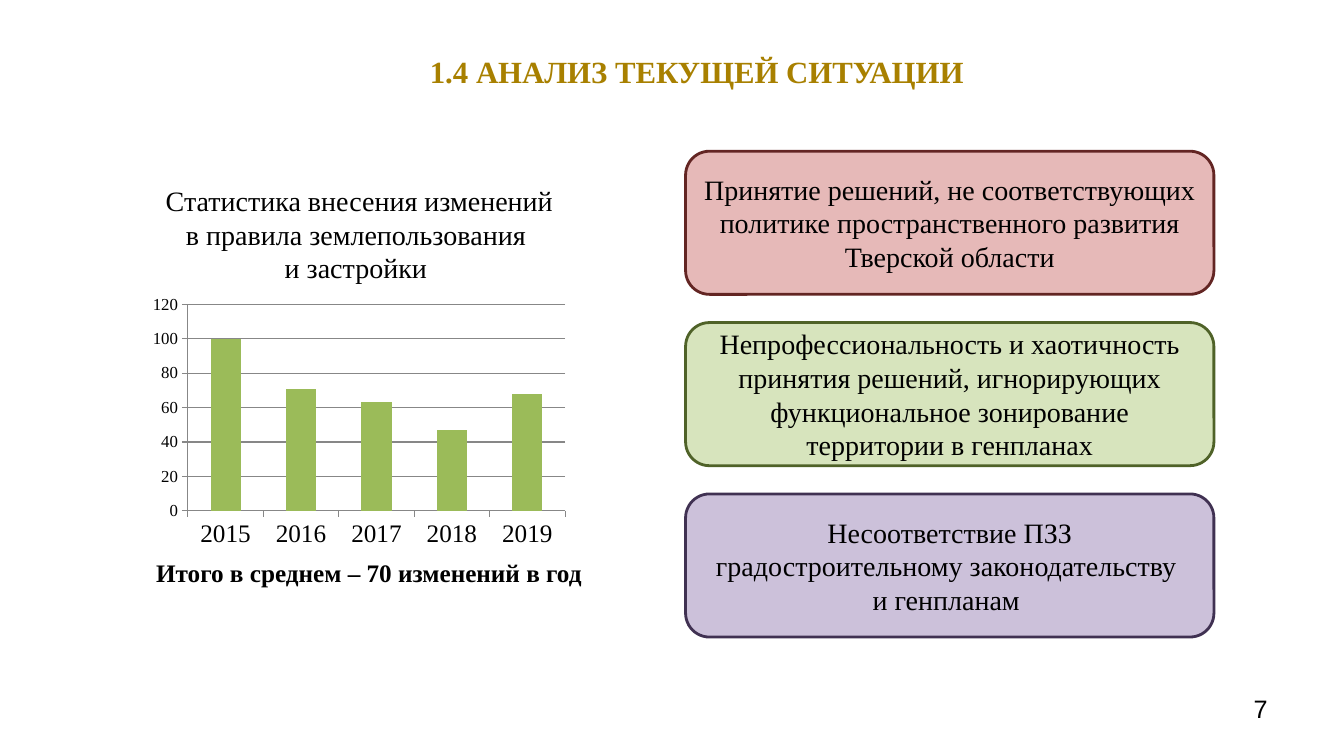
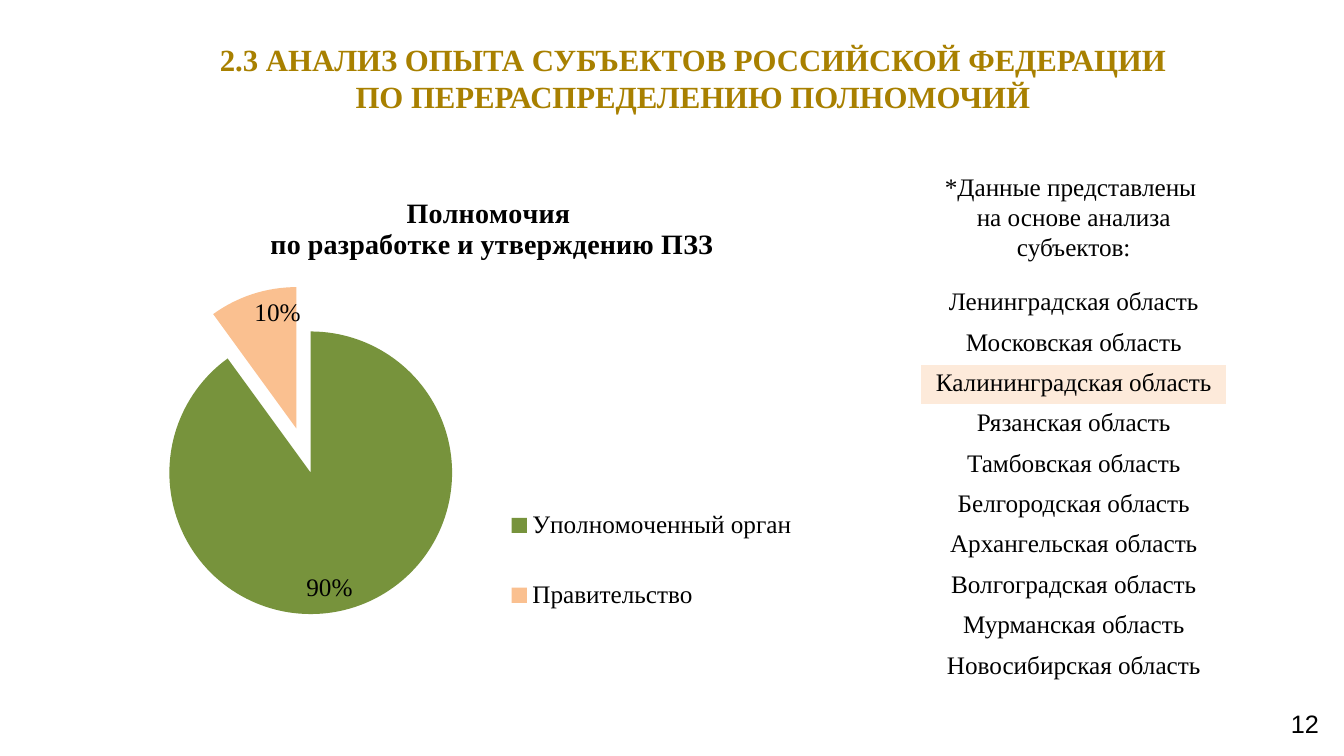
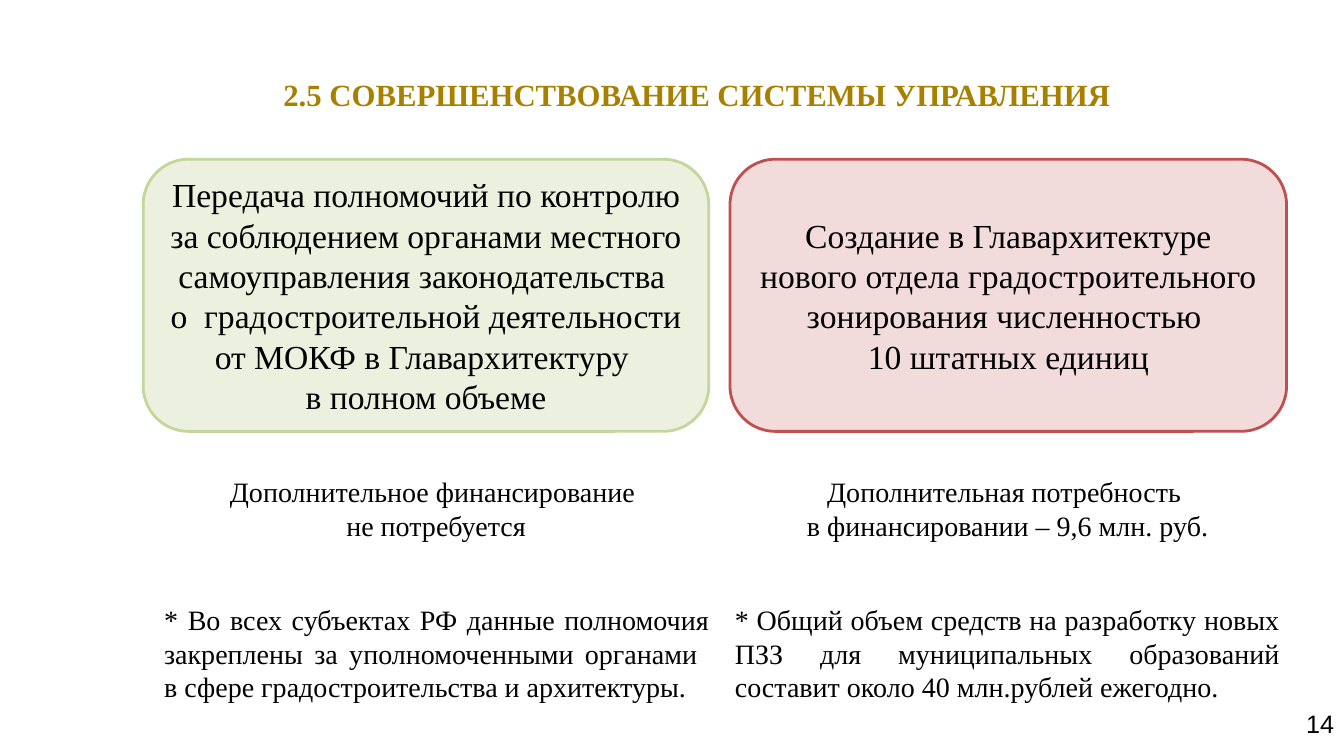
from dataclasses import dataclass

from pptx import Presentation
from pptx.chart.data import CategoryChartData
from pptx.dml.color import RGBColor
from pptx.enum.chart import XL_CHART_TYPE as Kind
from pptx.enum.chart import XL_LABEL_POSITION as Spot
from pptx.enum.chart import XL_LEGEND_POSITION as Side
from pptx.enum.chart import XL_TICK_MARK as Tick
from pptx.enum.shapes import MSO_SHAPE as Form
from pptx.enum.text import MSO_ANCHOR as Anchor
from pptx.enum.text import MSO_AUTO_SIZE as Fit
from pptx.enum.text import PP_ALIGN as Align
from pptx.oxml import parse_xml
from pptx.oxml.ns import nsdecls, qn
from pptx.util import Inches, Pt


@dataclass(frozen=True)
class Theme:
    serif: str = "Times New Roman"
    sans: str = "Arial"
    ink: str = "000000"
    gold: str = "A88000"
    bar: str = "9BBB59"
    grid: str = "878787"
    olive: str = "77933C"
    peach: str = "FAC090"
    glow: str = "FDEADA"
    # fill and line of each card
    rose: tuple = ("E6B9B8", "632523")
    lime: tuple = ("D7E4BD", "4F6228")
    lilac: tuple = ("CCC1DA", "403152")
    mint: tuple = ("EBF1DE", "C3D69B")
    blush: tuple = ("F2DCDB", "C0504D")
    # type sizes
    tick: int = 12
    small: int = 18
    body: int = 20
    head: int = 22
    large: int = 24


T = Theme()


def rgb(code):
    return RGBColor.from_string(code)


def box(*sides):
    return [Inches(side) for side in sides]


def style(font, size=T.body, color=T.ink, face=T.serif, bold=False):
    font.name, font.size, font.bold = face, Pt(size), bold
    font.color.rgb = rgb(color)


def write(frame, text, align=Align.CENTER, **form):
    """Fill a frame: \\n starts a paragraph, \\v breaks a line."""
    frame.text = text
    for para in frame.paragraphs:
        para.alignment = align
        for run in para.runs:
            style(run.font, **form)


# Text elements

def label(slide, at, text, **form):
    frame = slide.shapes.add_textbox(*box(*at)).text_frame
    frame.word_wrap = True
    write(frame, text, **form)


def card(slide, at, text, tint, size=T.body):
    shape = slide.shapes.add_shape(Form.ROUNDED_RECTANGLE, *box(*at))
    shape.shadow.inherit = False
    fill, line = tint
    shape.fill.solid()
    shape.fill.fore_color.rgb = rgb(fill)
    shape.line.color.rgb = rgb(line)
    shape.line.width = Pt(2)
    frame = shape.text_frame
    frame.word_wrap = True
    frame.vertical_anchor = Anchor.MIDDLE
    write(frame, text, size=size)


def start(deck, title, top, number, right, base):
    """Add a slide with its title and page number."""
    slide = deck.slides.add_slide(deck.slide_layouts[5])
    head = slide.shapes.title
    head.left, head.top, head.width, head.height = box(1.19, top, 11.44, 0.9)
    frame = head.text_frame
    frame.auto_size = Fit.NONE
    frame.word_wrap = True
    frame.vertical_anchor = Anchor.MIDDLE
    write(frame, title, size=T.head, color=T.gold, bold=True)
    label(slide, (right - 3.11, base, 3.11, 0.52), number,
          align=Align.RIGHT, size=T.small, face=T.sans)
    return slide


# Charts and table

def chart(slide, at, kind, cats, name, vals):
    data = CategoryChartData()
    data.categories = cats
    data.add_series(name, vals)
    made = slide.shapes.add_chart(kind, *box(*at), data).chart
    style(made.font, size=T.small)
    made.has_title = made.has_legend = False
    return made


def place(part, after=None, **spots):
    """Give a chart part a manual layout, in shares of the chart."""
    old = part.find(qn("c:layout"))
    if old is not None:
        part.remove(old)
    inner = '<c:layoutTarget val="inner"/>' if after is None else ""
    modes = "".join(f'<c:{key}Mode val="edge"/>' for key in "xy")
    sizes = "".join(f'<c:{key} val="{val}"/>' for key, val in spots.items())
    node = parse_xml(f'<c:layout {nsdecls("c")}><c:manualLayout>'
                     f"{inner}{modes}{sizes}</c:manualLayout></c:layout>")
    if after is None:
        part.insert(0, node)
    else:
        part.find(qn(after)).addnext(node)


def bars(slide, at, cats, vals):
    made = chart(slide, at, Kind.COLUMN_STACKED, cats, "Изменения", vals)
    plot = made.plots[0]
    plot.gap_width, plot.overlap = 150, 100
    plot.vary_by_categories = False
    fill = plot.series[0].format.fill
    fill.solid()
    fill.fore_color.rgb = rgb(T.bar)
    axis = made.value_axis
    axis.minimum_scale, axis.maximum_scale, axis.major_unit = 0, 120, 20
    axis.has_major_gridlines = True
    lines = [axis.major_gridlines.format.line]
    for part, size in ((axis, T.tick), (made.category_axis, T.small)):
        part.major_tick_mark = Tick.OUTSIDE
        style(part.tick_labels.font, size=size)
        lines.append(part.format.line)
    for line in lines:
        line.color.rgb = rgb(T.grid)
        line.width = Pt(0.75)


def pie(slide, at, title, name, slices):
    """Draw slices given as (name, value, colour, offset in percent)."""
    cats, vals, tints, shifts = zip(*slices)
    made = chart(slide, at, Kind.PIE, cats, name, vals)
    plot = made.plots[0]
    plot.vary_by_categories = True
    for num, (tint, shift) in enumerate(zip(tints, shifts)):
        fill = plot.series[0].points[num].format.fill
        fill.solid()
        fill.fore_color.rgb = rgb(tint)
    for dot, shift in zip(made.element.iter(qn("c:dPt")), shifts):
        dot.find(qn("c:spPr")).addprevious(parse_xml(
            f'<c:explosion {nsdecls("c")} val="{shift}"/>'))
    plot.has_data_labels = True
    tags = plot.data_labels
    tags.show_percentage, tags.show_value = True, False
    tags.number_format, tags.number_format_is_linked = "0%", False
    tags.position = Spot.INSIDE_END
    style(tags.font, size=T.small)
    made.has_title = made.has_legend = True
    write(made.chart_title.text_frame, title, bold=True)
    made.legend.position = Side.RIGHT
    made.legend.include_in_layout = False
    style(made.legend.font, size=T.small)
    root = made.element
    place(root.find(".//" + qn("c:plotArea")), x=0.08, y=0.21, w=0.39, h=0.75)
    place(root.find(".//" + qn("c:title")), "c:tx", x=0.22, y=0.01)
    place(root.find(".//" + qn("c:legend")), "c:legendPos",
          x=0.53, y=0.6, w=0.44, h=0.39)


def listing(slide, at, names, chosen):
    table = slide.shapes.add_table(len(names), 1, *box(*at)).table
    table.first_row = table.horz_banding = False
    for row, name in enumerate(names):
        cell = table.cell(row, 0)
        write(cell.text_frame, name, size=T.small)
        if name == chosen:
            cell.fill.solid()
            cell.fill.fore_color.rgb = rgb(T.glow)
        else:
            cell.fill.background()


# Slides

def state(deck):
    slide = start(deck, "1.4 АНАЛИЗ ТЕКУЩЕЙ СИТУАЦИИ", 0.26, "7", 12.67, 6.83)
    label(slide, (0.96, 5.48, 5.4, 0.4),
          "Итого в среднем – 70 изменений в год", size=T.small, bold=True)
    label(slide, (1.53, 1.77, 4.07, 1.11),
          "Статистика внесения изменений \n"
          "в правила землепользования \vи застройки ")
    bars(slide, (1.43, 2.88, 4.26, 2.61),
         ("2015", "2016", "2017", "2018", "2019"), (100, 71, 63, 47, 68))
    cards = (
        ("Принятие решений, не соответствующих политике "
         "пространственного развития Тверской области", T.rose),
        ("Непрофессиональность и хаотичность принятия решений, игнорирующих "
         "функциональное зонирование территории в генпланах", T.lime),
        ("Несоответствие ПЗЗ градостроительному законодательству "
         "\vи генпланам ", T.lilac),
    )
    for num, (text, tint) in enumerate(cards):
        card(slide, (6.8, 1.5 + 1.7 * num, 5.24, 1.42), text, tint)


def survey(deck):
    slide = start(deck, "2.3 АНАЛИЗ ОПЫТА СУБЪЕКТОВ РОССИЙСКОЙ ФЕДЕРАЦИИ "
                  "\vПО ПЕРЕРАСПРЕДЕЛЕНИЮ ПОЛНОМОЧИЙ ", 0.32, "12", 13.18, 6.98)
    pie(slide, (1.07, 1.87, 7.19, 4.64),
        "Полномочия \nпо разработке и утверждению ПЗЗ",
        "Полномочия по разработке и утверждению ПЗЗ",
        (("Уполномоченный орган", 90, T.olive, 8),
         ("Правительство", 10, T.peach, 25)))
    areas = ("Ленинградская", "Московская", "Калининградская", "Рязанская",
             "Тамбовская", "Белгородская", "Архангельская", "Волгоградская",
             "Мурманская", "Новосибирская")
    listing(slide, (9.13, 2.81, 3.04, 4),
            [f"{area} область" for area in areas], "Калининградская область")
    label(slide, (9.01, 1.65, 3.28, 1.01),
          "*Данные представлены \nна основе анализа субъектов:", size=T.small)


def reform(deck):
    slide = start(deck, "2.5 СОВЕРШЕНСТВОВАНИЕ СИСТЕМЫ УПРАВЛЕНИЯ",
                  0.48, "14", 13.33, 6.98)
    # left and width of the card, of the cost and of the note
    columns = (
        ((1.42, 5.61), T.mint,
         "Передача полномочий по контролю за соблюдением органами местного "
         "самоуправления законодательства \vо  градостроительной деятельности "
         "от МОКФ в Главархитектуру \vв полном объеме",
         1.74, "Дополнительное финансирование \vне потребуется",
         1.53, "* Во всех субъектах РФ данные полномочия закреплены за "
         "уполномоченными органами \vв сфере градостроительства и "
         "архитектуры."),
        ((7.24, 5.52), T.blush,
         "Создание в Главархитектуре нового отдела градостроительного "
         "зонирования численностью \v10 штатных единиц",
         7.41, "Дополнительная потребность \vв финансировании – 9,6 млн. руб.",
         7.19, "* Общий объем средств на разработку новых ПЗЗ для "
         "муниципальных образований составит около 40 млн.рублей ежегодно."),
    )
    for (left, width), tint, text, mid, cost, edge, note in columns:
        card(slide, (left, 1.58, width, 2.7), text, tint, size=T.large)
        label(slide, (mid, 4.66, 5.17, 0.77), cost)
        label(slide, (edge, 5.93, 5.6, 1.11), note, align=Align.JUSTIFY)


def main():
    deck = Presentation()
    deck.slide_width, deck.slide_height = box(13.33, 7.5)
    for build in (state, survey, reform):
        build(deck)
    deck.save("out.pptx")


if __name__ == "__main__":
    main()
